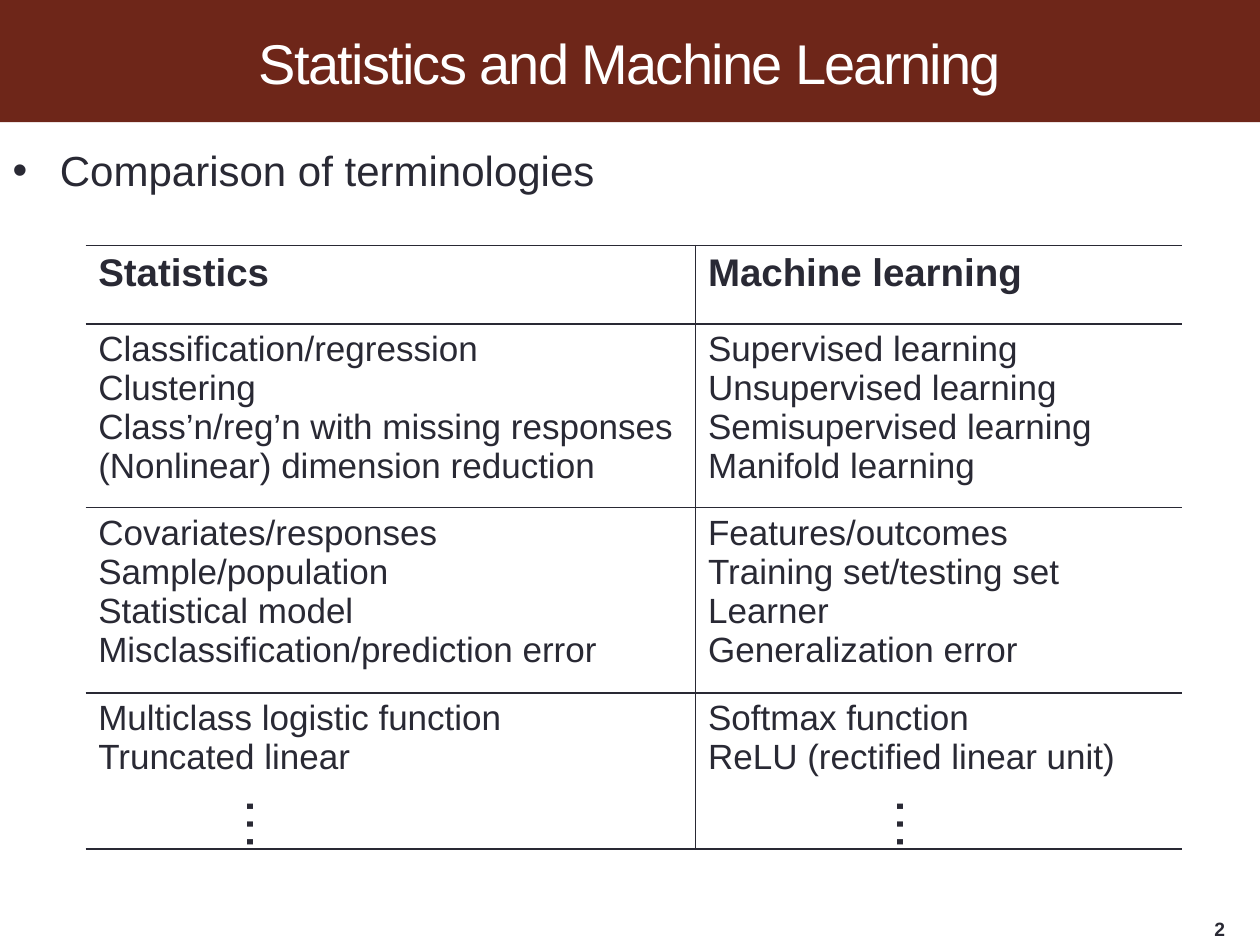
from dataclasses import dataclass

from lxml.etree import SubElement
from pptx import Presentation
from pptx.dml.color import RGBColor
from pptx.enum.shapes import MSO_SHAPE as Shape
from pptx.enum.text import MSO_ANCHOR as Anchor, MSO_AUTO_SIZE as AutoSize, PP_ALIGN as Align
from pptx.oxml.ns import qn
from pptx.util import Inches, Pt

WIDTH, HEIGHT = 10, 7.5
FONT = "Arial"
COLORS = {"band": "6E2619", "title": "FFFFFF", "ink": "292934", "bullet": "93A299"}
COLUMNS = (4.84, 3.86)


@dataclass(frozen=True)
class Row:
    height: float
    statistics: tuple
    learning: tuple
    size: int = 20
    bold: bool = False


ROWS = (
    Row(0.62, ("Statistics",), ("Machine learning",), 22, True),
    Row(1.46,
        ("Classification/regression", "Clustering",
         "Class’n/reg’n with missing responses", "(Nonlinear) dimension reduction"),
        ("Supervised learning", "Unsupervised learning",
         "Semisupervised learning", "Manifold learning")),
    Row(1.47,
        ("Covariates/responses", "Sample/population",
         "Statistical model", "Misclassification/prediction error"),
        ("Features/outcomes", "Training set/testing set",
         "Learner", "Generalization error")),
    Row(1.24,
        ("Multiclass logistic function", "Truncated linear"),
        ("Softmax function", "ReLU (rectified linear unit)")),
)


def place(shape, left: float, top: float, width: float, height: float) -> None:
    shape.left, shape.top = Inches(left), Inches(top)
    shape.width, shape.height = Inches(width), Inches(height)


def write(frame, lines: tuple, size: int, color: str = "ink", bold: bool = False) -> None:
    frame.text = "\n".join(lines)
    for para in frame.paragraphs:
        para.font.name, para.font.size, para.font.bold = FONT, Pt(size), bold
        para.font.color.rgb = RGBColor.from_string(COLORS[color])


def add_band(page) -> None:
    band = page.shapes.add_shape(Shape.RECTANGLE, 0, 0, Inches(WIDTH), Inches(0.97))
    band.shadow.inherit = False
    band.fill.solid()
    band.fill.fore_color.rgb = RGBColor.from_string(COLORS["band"])
    band.line.fill.background()
    page.shapes._spTree.insert(2, band._element)


def fill_title(title) -> None:
    place(title, 0, 0, WIDTH, 0.98)
    frame = title.text_frame
    frame.vertical_anchor = Anchor.MIDDLE
    write(frame, ("Statistics and Machine Learning",), 32, "title")
    para = frame.paragraphs[0]
    para.alignment = Align.CENTER
    para._p.get_or_add_pPr().get_or_add_defRPr().set("spc", "-100")


def fill_body(body) -> None:
    place(body, 0, 1.1, WIDTH, 6.01)
    frame = body.text_frame
    para = frame.paragraphs[0]
    para.space_before, para.space_after = Pt(0), Pt(18)
    props = para._p.get_or_add_pPr()
    props.set("marL", str(Inches(0.31)))
    props.set("indent", str(Inches(-0.31)))
    SubElement(SubElement(props, qn("a:buClr")), qn("a:srgbClr"), val=COLORS["bullet"])
    SubElement(props, qn("a:buSzPct"), val="85000")
    SubElement(props, qn("a:buFont"), typeface=FONT)
    SubElement(props, qn("a:buChar"), char="➢")
    write(frame, ("Comparison of terminologies",), 24)


def set_borders(cell, drawn: str) -> None:
    props = cell._tc.get_or_add_tcPr()
    for index, side in enumerate("LRTB"):
        line = props.makeelement(qn(f"a:ln{side}"), {"w": str(Pt(1))})
        props.insert(index, line)
        if side in drawn:
            fill = SubElement(line, qn("a:solidFill"))
            SubElement(fill, qn("a:srgbClr"), val=COLORS["ink"])
        else:
            SubElement(line, qn("a:noFill"))


def add_terms(page) -> None:
    height = sum(row.height for row in ROWS)
    table = page.shapes.add_table(
        len(ROWS), len(COLUMNS), Inches(0.68), Inches(1.95),
        Inches(sum(COLUMNS)), Inches(height)).table
    table.first_row = table.horz_banding = False
    for column, width in zip(table.columns, COLUMNS):
        column.width = Inches(width)
    for index, row in enumerate(ROWS):
        table.rows[index].height = Inches(row.height)
        sides = ((row.statistics, "RTB"), (row.learning, "LTB"))
        for column, (terms, drawn) in enumerate(sides):
            cell = table.cell(index, column)
            cell.fill.background()
            set_borders(cell, drawn)
            write(cell.text_frame, terms, row.size, bold=row.bold)


def add_text(page, text: str, left: float, top: float, width: float, height: float,
             size: int, bold: bool = False):
    box = page.shapes.add_textbox(0, 0, 0, 0)
    place(box, left, top, width, height)
    box.text_frame.word_wrap = True
    write(box.text_frame, (text,), size, bold=bold)
    return box.text_frame


def main() -> None:
    """Build the slide comparing statistics and machine learning terms."""
    deck = Presentation()
    deck.slide_width, deck.slide_height = Inches(WIDTH), Inches(HEIGHT)
    page = deck.slides.add_slide(deck.slide_layouts[1])
    add_band(page)
    fill_title(page.shapes.title)
    fill_body(page.placeholders[1])
    number = add_text(page, "2", 9.54, 7.24, 0.46, 0.26, 11, True)
    number.vertical_anchor = Anchor.MIDDLE
    add_terms(page)
    for left in (1.72, 6.88):
        dots = add_text(page, "…", left, 6.22, 0.74, 0.45, 32)
        dots.auto_size = AutoSize.SHAPE_TO_FIT_TEXT
        dots._txBody.bodyPr.set("vert", "eaVert")
    deck.save("out.pptx")


if __name__ == "__main__":
    main()
